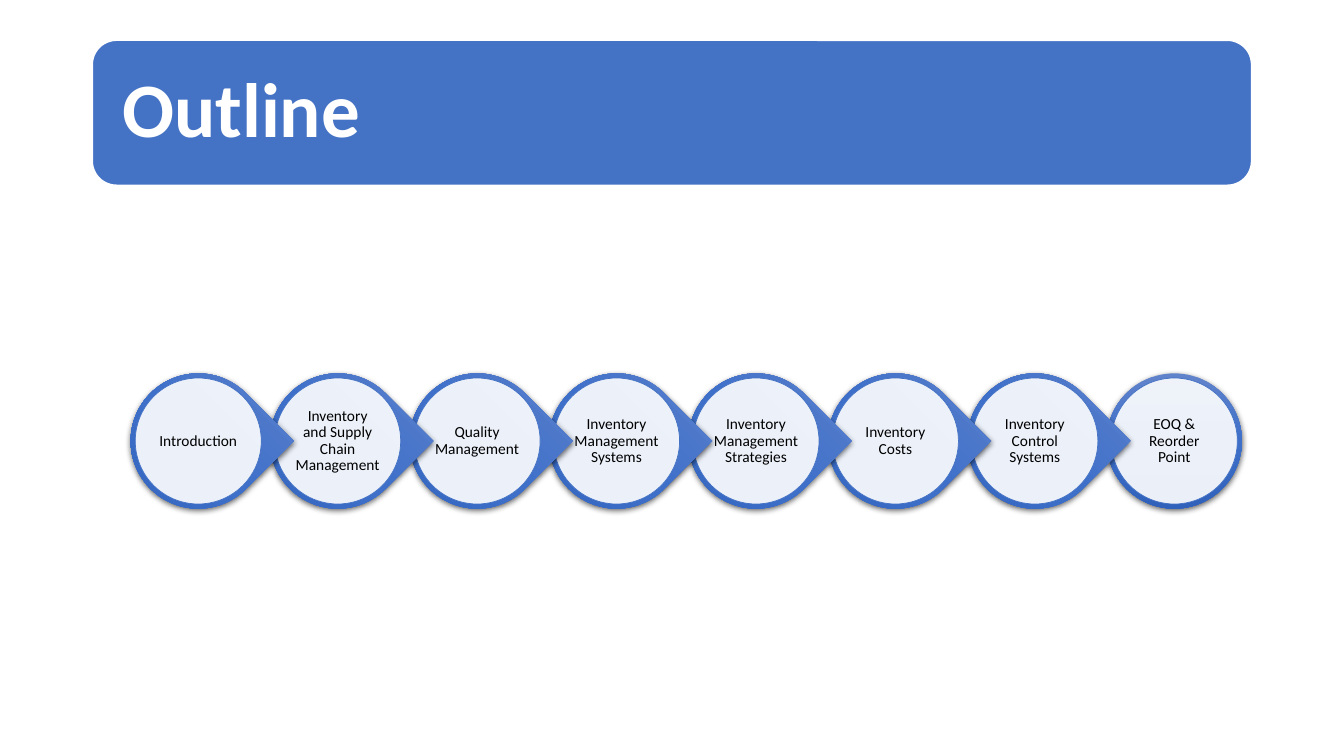
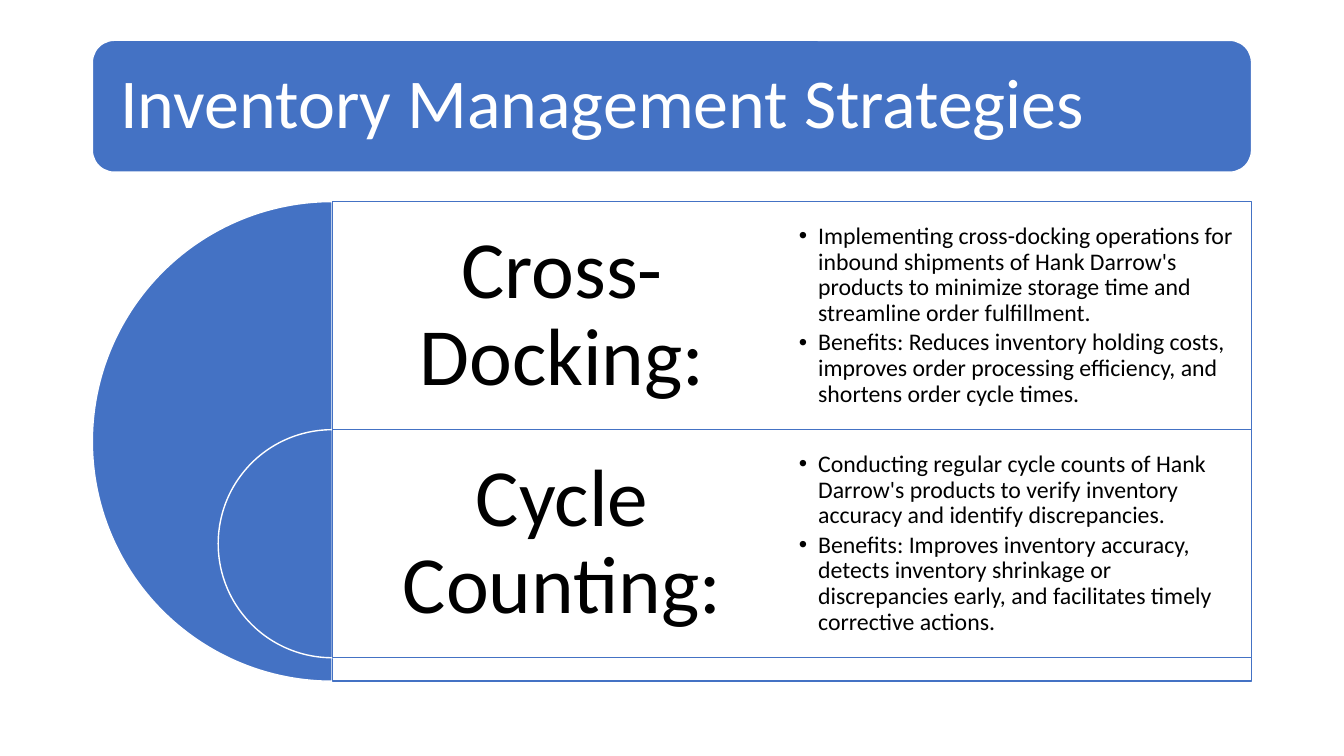
from lxml import etree
from pptx import Presentation
from pptx.dml.color import RGBColor
from pptx.enum.shapes import MSO_SHAPE
from pptx.enum.text import MSO_ANCHOR, MSO_AUTO_SIZE, PP_ALIGN
from pptx.oxml.ns import qn
from pptx.util import Emu, Inches, Pt

ROUND = MSO_SHAPE.ROUNDED_RECTANGLE
RECT = MSO_SHAPE.RECTANGLE
OVAL = MSO_SHAPE.OVAL
DROP = MSO_SHAPE.TEAR
PIE = MSO_SHAPE.PIE
LEFT, MID = PP_ALIGN.LEFT, PP_ALIGN.CENTER
CENTRE = MSO_ANCHOR.MIDDLE
FIXED = MSO_AUTO_SIZE.NONE

# Square grid: 160 columns by 90 rows
COLS, ROWS = 160, 90
CELL = Inches(1 / 12)
EDGE, WIDE = 11, 138  # left margin and content width


def grid(*cells):
    return [Emu(round(n * CELL)) for n in cells]


def rgb(code):
    return RGBColor.from_string(code)


def sub(node, tag, **attrs):
    return etree.SubElement(node, qn(tag), {k: str(v) for k, v in attrs.items()})


class Deck:
    FONT = "Calibri"
    BLUE, WHITE, BLACK = "4472C4", "FFFFFF", "000000"
    SHADE = (("6183CB", 0), ("3E70CA", 50), ("3062BB", 100))

    def __init__(self):
        self.prs = Presentation()
        self.prs.slide_width, self.prs.slide_height = grid(COLS, ROWS)

    def page(self, title, high, size, pad, bold=False):
        """Start a slide with its title on a rounded band."""
        self.slide = self.prs.slides.add_slide(self.prs.slide_layouts[5])
        self.shape(ROUND, EDGE, 4.8, WIDE, high, self.BLUE, self.WHITE)
        head = self.slide.shapes.title
        inset = 0.8
        head.left, head.top, head.width, head.height = grid(
            EDGE + inset, 4.8 + inset, WIDE - 2 * inset, high - 2 * inset)
        self.slide.shapes._spTree.append(head._element)  # above the band
        self.label(head, [title], size, self.WHITE, LEFT, pad, bold=bold)

    def shape(self, kind, x, y, w, h, fill, line=None, width=1, alpha=None):
        item = self.slide.shapes.add_shape(kind, *grid(x, y, w, h))
        item.shadow.inherit = False
        item.fill.solid()
        item.fill.fore_color.rgb = rgb(fill)
        if alpha:
            tint = item._element.spPr.find(".//" + qn("a:srgbClr"))
            sub(tint, "a:alpha", val=alpha * 1000)
        if line:
            item.line.color.rgb = rgb(line)
            item.line.width = Pt(width)
        else:
            item.line.fill.background()
        return item

    def panel(self, kind, x, y, w, h, width=1):
        """Nearly opaque white area with a blue outline."""
        return self.shape(kind, x, y, w, h, self.WHITE, self.BLUE, width, 90)

    def half(self, x, y, size):
        """Left half of a disc centred on column x."""
        item = self.shape(PIE, x - size / 2, y, size, size, self.BLUE, self.WHITE)
        item.adjustments[0], item.adjustments[1] = 54, 162

    def glow(self, item):
        """Three-stop gradient and a soft shadow below."""
        props = item._element.spPr
        flat = props.find(qn("a:solidFill"))
        grad = etree.Element(qn("a:gradFill"))
        stops = sub(grad, "a:gsLst")
        for code, place in self.SHADE:
            sub(sub(stops, "a:gs", pos=place * 1000), "a:srgbClr", val=code)
        sub(grad, "a:lin", ang=5400000, scaled=0)
        props.replace(flat, grad)
        cast = sub(props.find(qn("a:effectLst")), "a:outerShdw", blurRad=Pt(4.5),
                   dist=Pt(1.5), dir=5400000, algn="ctr", rotWithShape=0)
        sub(sub(cast, "a:srgbClr", val=self.BLACK), "a:alpha", val=63000)

    def label(self, item, lines, size, color, align, pad, after=0.35,
              bold=False, dots=False):
        """Fill a shape with formatted paragraphs."""
        frame = item.text_frame
        frame.text = "\n".join(lines)
        frame.word_wrap, frame.auto_size = True, FIXED
        frame.vertical_anchor = CENTRE
        frame.margin_left = frame.margin_right = Inches(pad)
        frame.margin_top = frame.margin_bottom = Inches(pad)
        for para in frame.paragraphs:
            para.alignment = align
            para.line_spacing, para.space_before = 0.9, Pt(0)
            para.space_after = Pt(size * after)
            if dots:
                props = para._p.get_or_add_pPr()
                props.set("marL", str(Inches(0.19)))
                props.set("indent", str(-Inches(0.19)))
                sub(props, "a:buFont", typeface="Arial")
                sub(props, "a:buChar", char="•")
            for run in para.runs:
                run.font.name, run.font.size = self.FONT, Pt(size)
                run.font.bold, run.font.color.rgb = bold, rgb(color)

    def text(self, x, y, w, h, lines, size, align, pad, **style):
        box = self.slide.shapes.add_textbox(*grid(x, y, w, h))
        self.label(box, lines, size, self.BLACK, align, pad, **style)

    def chain(self, names, x, y, step, outer, inner):
        """Row of discs pointing right, drawn from the last to the first."""
        last = len(names) - 1
        for i in range(last, -1, -1):
            mid = x + i * step
            rim = self.shape(OVAL if i == last else DROP, mid - outer / 2,
                             y - outer / 2, outer, outer, self.BLUE)
            rim.rotation = 0 if i == last else 45
            self.glow(rim)
            disc = self.panel(OVAL, mid - inner / 2, y - inner / 2, inner, inner, 0.5)
            self.label(disc, [names[i]], 11, self.BLACK, MID, 0.02)

    def stack(self, parts, y, size, high):
        """Nested half discs, each with a panel, a heading and bullets."""
        x = EDGE + size / 2
        wide = EDGE + WIDE - x
        for i, (name, points) in enumerate(parts):
            top = y + i * high
            part = size if i == 0 else high
            self.half(x, top, part)
            self.panel(RECT, x, top, wide, part)
            self.text(x, top, wide / 2, high, [name], 58, MID, 0.24)
            self.text(x + wide / 2, top, wide / 2, high, points, 17, LEFT,
                      0.07, after=0.15, dots=True)


def main():
    deck = Deck()

    # Outline
    deck.page("Outline", 17.25, 55, 0.23, bold=True)
    deck.chain([
        "Introduction",
        "Inventory and Supply Chain Management",
        "Quality Management",
        "Inventory Management Systems",
        "Inventory Management Strategies",
        "Inventory Costs",
        "Inventory Control Systems",
        "EOQ & Reorder Point",
    ], x=23.6, y=52.5, step=16.6, outer=16.1, inner=15)

    # Strategies
    deck.page("Inventory Management Strategies", 15.7, 50, 0.21)
    deck.stack([
        ("Cross-Docking:", [
            "Implementing cross-docking operations for inbound shipments of "
            "Hank Darrow's products to minimize storage time and streamline "
            "order fulfillment.",
            "Benefits: Reduces inventory holding costs, improves order "
            "processing efficiency, and shortens order cycle times.",
        ]),
        ("Cycle Counting:", [
            "Conducting regular cycle counts of Hank Darrow's products to "
            "verify inventory accuracy and identify discrepancies.",
            "Benefits: Improves inventory accuracy, detects inventory "
            "shrinkage or discrepancies early, and facilitates timely "
            "corrective actions.",
        ]),
    ], y=24, size=57.1, high=27.15)

    deck.prs.save("out.pptx")


if __name__ == "__main__":
    main()
